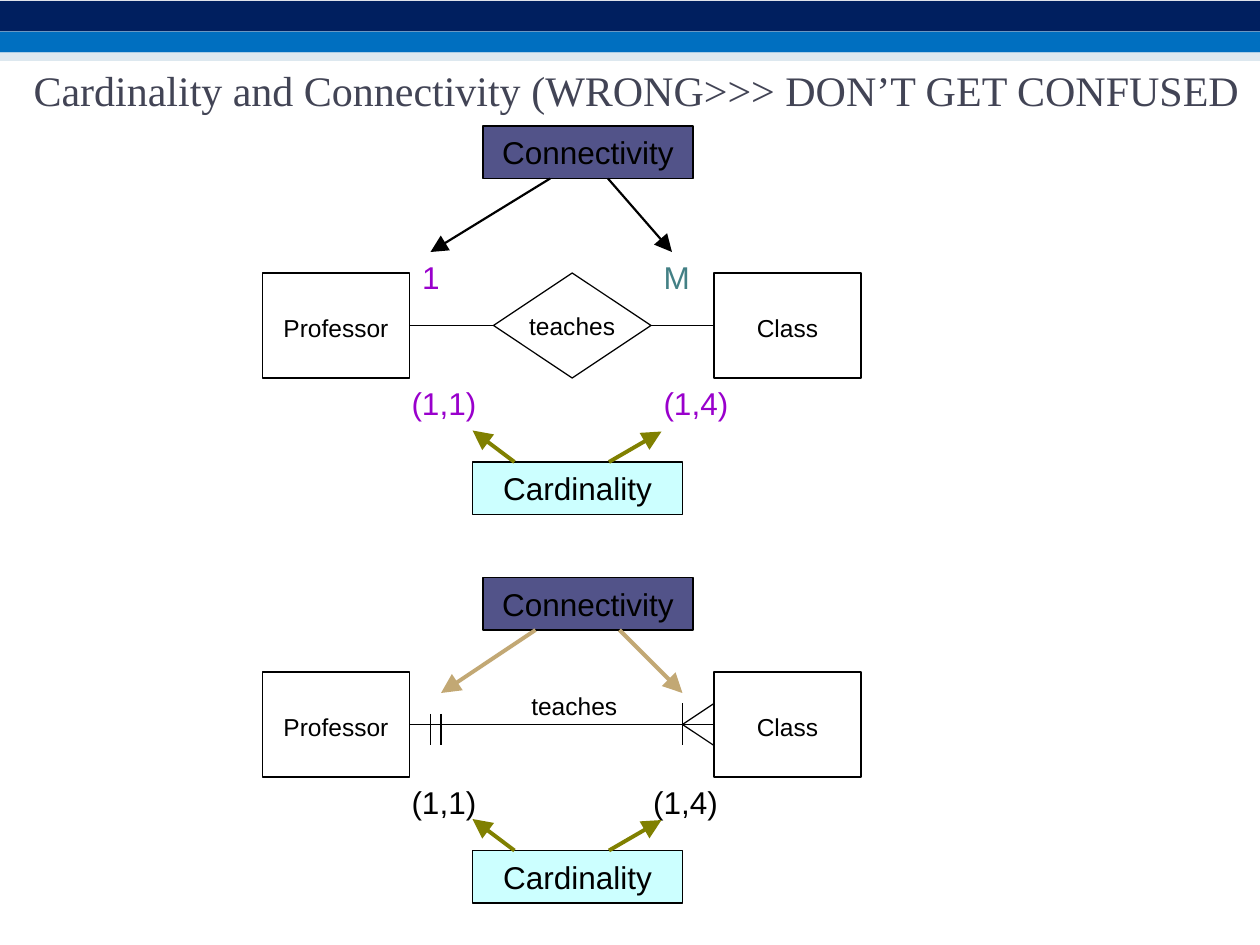
"""Build the slide on cardinality and connectivity in entity diagrams."""
from lxml.etree import SubElement
from pptx import Presentation
from pptx.dml.color import RGBColor
from pptx.enum.shapes import MSO_CONNECTOR as Link, MSO_SHAPE as Shape
from pptx.enum.text import MSO_ANCHOR as Anchor, PP_ALIGN as Align
from pptx.oxml.ns import qn
from pptx.util import Inches, Pt

THEME = dict(
    navy="001F5F", blue="006FC0", pale="BDD2E0", title="424455", ink="000000",
    white="FFFFFF", purple="9900CC", teal="438085", slate="525389",
    cyan="CCFFFF", tan="C2A874", olive="808000",
    serif="Times New Roman", sans="Arial",
    title_size=24, label_size=18, entity_size=14,
    thin=0.72, edge=0.96, arrow=1.25, bold_arrow=2.25,
)
COLUMNS, ROWS = 120, 90
WIDTH, HEIGHT = Inches(10), Inches(7.5)

TITLE = "Cardinality and Connectivity (WRONG>>> DON’T GET CONFUSED"
BANDS = [(0.1, 3, "navy"), (3, 5, "blue"), (5, 5.8, "pale")]
ENTITIES = [("Professor", 25), ("Class", 68)]
RELATION = "teaches"
DIAGRAMS = [
    dict(
        top=26, diamond=True,
        captions=[("Connectivity", 46, 12, "slate"), ("Cardinality", 45, 44, "cyan")],
        labels=[("1", 40.2, 24.4, "purple"), ("M", 63.2, 24.4, "teal"),
                ("(1,1)", 39.2, 36.4, "purple"), ("(1,4)", 63.2, 36.4, "purple")],
        marks=[],
        arrows=[((52.4, 17), (41, 24), "ink", "arrow"),
                ((57.9, 17), (64, 24), "ink", "arrow"),
                ((49, 44), (45, 41), "olive", "bold_arrow"),
                ((58, 44), (63, 41.1), "olive", "bold_arrow")],
    ),
    dict(
        top=64, diamond=False,
        captions=[("Connectivity", 46, 55, "slate"), ("Cardinality", 45, 81, "cyan")],
        labels=[("(1,1)", 39.2, 74.4, "ink"), ("(1,4)", 62.2, 74.4, "ink")],
        marks=[((41, 68), (41, 71)), ((42, 68), (42, 71)), ((65, 67), (65, 71)),
               ((65, 69), (68, 67)), ((65, 69), (68, 71))],
        arrows=[((51, 60), (42, 66), "tan", "bold_arrow"),
                ((59, 60), (65, 66), "tan", "bold_arrow"),
                ((49, 81), (45, 78), "olive", "bold_arrow"),
                ((58, 81), (63, 78.1), "olive", "bold_arrow")],
    ),
]

deck = Presentation()
deck.slide_width, deck.slide_height = WIDTH, HEIGHT
page = deck.slides.add_slide(deck.slide_layouts[6])


def across(column):
    return round(WIDTH * column / COLUMNS)


def down(row):
    return round(HEIGHT * row / ROWS)


def place(column, row, columns, rows):
    return across(column), down(row), across(columns), down(rows)


def color(name):
    return RGBColor.from_string(THEME[name])


def write(box, text, size="label_size", ink="ink", font="sans", align=Align.CENTER, drop=0):
    frame = box.text_frame
    frame.word_wrap = False
    frame.vertical_anchor = Anchor.MIDDLE
    frame.margin_left = frame.margin_right = frame.margin_bottom = 0
    frame.margin_top = Inches(drop)
    para = frame.paragraphs[0]
    para.alignment = align
    span = para.add_run()
    span.text = text
    span.font.name, span.font.size = THEME[font], Pt(THEME[size])
    span.font.color.rgb = color(ink)


def add_label(text, column, row, columns, rows, **style):
    box = page.shapes.add_textbox(*place(column, row, columns, rows))
    write(box, text, align=Align.LEFT, **style)


def add_block(area, fill=None, line=None, kind=Shape.RECTANGLE):
    box = page.shapes.add_shape(kind, *place(*area))
    box.shadow.inherit = False
    if fill:
        box.fill.solid()
        box.fill.fore_color.rgb = color(fill)
    else:
        box.fill.background()
    if line:
        box.line.color.rgb = color("ink")
        box.line.width = Pt(THEME[line])
    else:
        box.line.fill.background()
    return box


def add_line(start, end, ink="ink", weight="thin", head=False):
    line = page.shapes.add_connector(
        Link.STRAIGHT, across(start[0]), down(start[1]), across(end[0]), down(end[1]))
    line.line.color.rgb = color(ink)
    line.line.width = Pt(THEME[weight])
    if head:
        SubElement(line.line._get_or_add_ln(), qn("a:tailEnd"), type="triangle", w="lg", len="lg")
    SubElement(line._element.spPr, qn("a:effectLst"))
    return line


def join(left, right):
    line = add_line((0, 0), (1, 1))
    line.begin_connect(left, 3)
    line.end_connect(right, 1)


def draw(diagram):
    top = diagram["top"]
    chain = []
    for text, column in ENTITIES:
        box = add_block((column, top, 14, 10), line="edge")
        write(box, text, size="entity_size", drop=0.03)
        chain.append(box)
    if diagram["diamond"]:
        diamond = add_block((47, top, 15, 10), "white", "thin", Shape.DIAMOND)
        write(diamond, RELATION, size="entity_size")
        chain.insert(1, diamond)
    else:
        add_label(RELATION, 50.6, top + 1.6, 8.5, 3.2, size="entity_size")
    for left, right in zip(chain, chain[1:]):
        join(left, right)
    for start, end in diagram["marks"]:
        add_line(start, end)
    for text, column, row, ink in diagram["labels"]:
        add_label(text, column, row, 6.5, 4, ink=ink)
    for text, column, row, fill in diagram["captions"]:
        write(add_block((column, row, 20, 5), fill, "thin"), text)
    for start, end, ink, weight in diagram["arrows"]:
        add_line(start, end, ink, weight, head=True)


for upper, lower, fill in BANDS:
    band = add_block((0, upper, COLUMNS, lower - upper), fill)
    if fill == "pale":
        shade = band.fill._xPr.find(qn("a:solidFill"))[0]
        SubElement(shade, qn("a:alpha"), val="50000")
add_label(TITLE, 3.2, 6, 116.8, 5, size="title_size", ink="title", font="serif")
for diagram in DIAGRAMS:
    draw(diagram)
deck.save("out.pptx")
